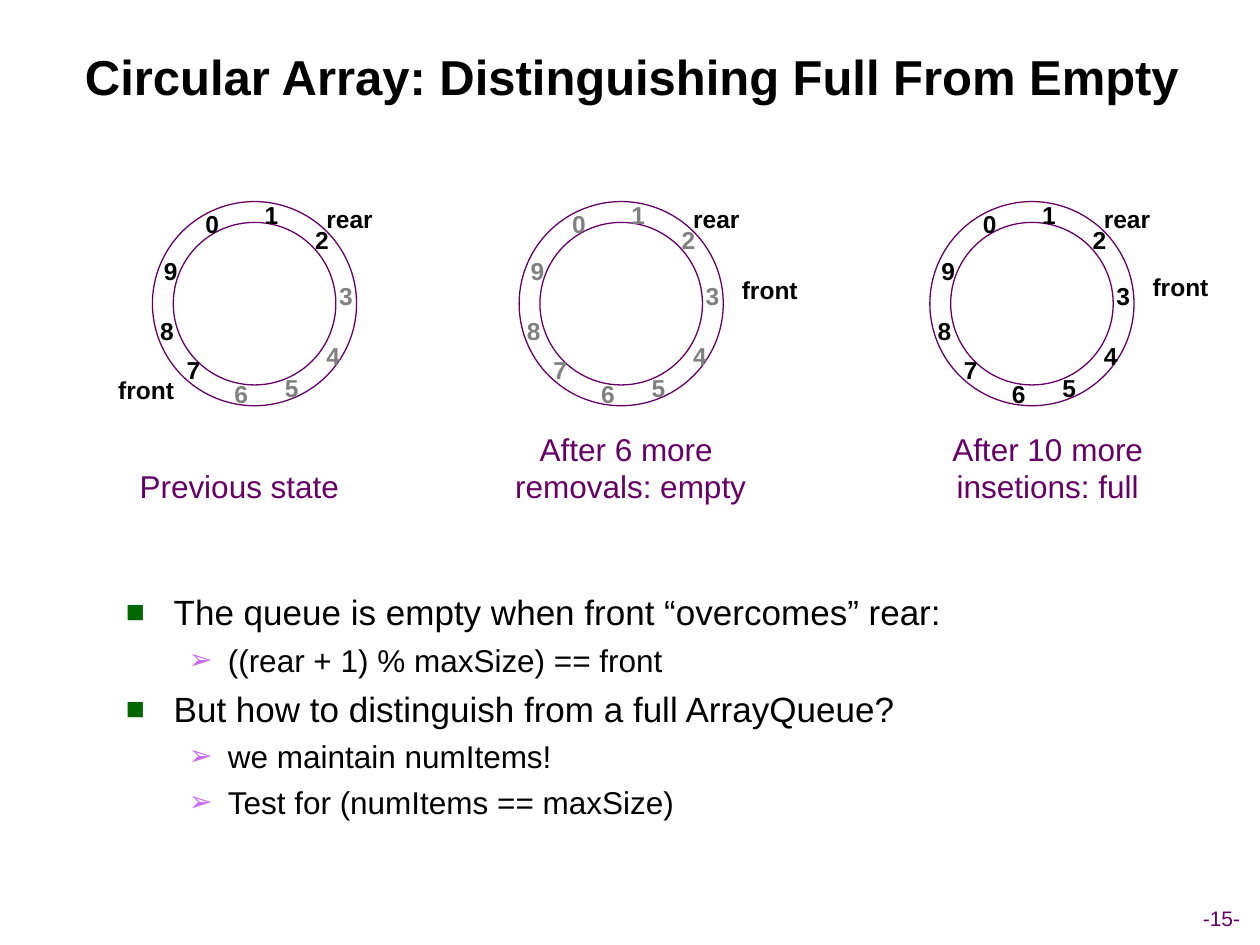
from dataclasses import dataclass

from lxml import etree
from pptx import Presentation
from pptx.dml.color import RGBColor
from pptx.enum.shapes import MSO_SHAPE
from pptx.enum.text import MSO_ANCHOR, MSO_AUTO_SIZE, PP_ALIGN
from pptx.oxml.ns import qn
from pptx.util import Inches, Pt

OVAL = MSO_SHAPE.OVAL
TOP, MIDDLE = MSO_ANCHOR.TOP, MSO_ANCHOR.MIDDLE
LEFT, CENTER = PP_ALIGN.LEFT, PP_ALIGN.CENTER
NO_FIT = MSO_AUTO_SIZE.NONE
TITLE_ONLY = 5


@dataclass(frozen=True)
class Theme:
    font: str = "Arial"
    text: str = "000000"
    empty_slot: str = "808080"
    accent: str = "660066"
    bullet: str = "006600"
    sub_bullet: str = "CC66FF"
    title_size: int = 28
    body_size: int = 20
    caption_size: int = 18
    label_size: int = 14
    number_size: int = 12


theme = Theme()


def format_text(shape, size, color, bold=False, align=CENTER, anchor=TOP):
    frame = shape.text_frame
    frame.auto_size = NO_FIT
    frame.vertical_anchor = anchor
    for paragraph in frame.paragraphs:
        paragraph.alignment = align
        for run in paragraph.runs:
            run.font.name = theme.font
            run.font.size = Pt(size)
            run.font.bold = bold
            run.font.color.rgb = RGBColor.from_string(color)


def add_label(shapes, text, box, size, color, bold=False, anchor=TOP):
    label = shapes.add_textbox(*(Inches(length) for length in box))
    label.text_frame.text = text
    label.text_frame.word_wrap = False
    format_text(label, size, color, bold, anchor=anchor)
    return label


presentation = Presentation()
presentation.slide_width = Inches(10)
presentation.slide_height = Inches(7.5)
slide = presentation.slides.add_slide(presentation.slide_layouts[TITLE_ONLY])

# Title
title = slide.shapes.title
title.left, title.top = Inches(0.38), Inches(0.13)
title.width, title.height = Inches(9.27), Inches(0.95)
title.text_frame.text = "Circular Array: Distinguishing Full From Empty"
format_text(title, theme.title_size, theme.text, bold=True, anchor=MIDDLE)

# Page number
page_number = add_label(slide.shapes, "-15-", (9.16, 7.14, 1.07, 0.3),
                        theme.number_size, theme.accent, anchor=MIDDLE)
page_number.text_frame.paragraphs[0].space_before = Pt(7.5)

# Bulleted text: (level, text)
points = [
    (0, "The queue is empty when front “overcomes” rear:"),
    (1, "((rear + 1) % maxSize) == front"),
    (0, "But how to distinguish from a full ArrayQueue?"),
    (1, "we maintain numItems!"),
    (1, "Test for (numItems == maxSize)"),
]
# Per level: left margin, hanging indent, space before, text size, bullet, bullet color
levels = [
    (0.38, 0.38, 5, theme.body_size, "■", theme.bullet),
    (0.81, 0.31, 4.5, theme.caption_size, "➢", theme.sub_bullet),
]
body = slide.shapes.add_textbox(Inches(0.9), Inches(4.64), Inches(8.38), Inches(2.09))
body.text_frame.word_wrap = True
body.text_frame.text = "\n".join(text for level, text in points)
format_text(body, theme.body_size, theme.text, align=LEFT)
for paragraph, (level, text) in zip(body.text_frame.paragraphs, points):
    margin, hanging, space, size, bullet, bullet_color = levels[level]
    paragraph.level = level
    paragraph.space_before = Pt(space)
    paragraph.runs[0].font.size = Pt(size)
    properties = paragraph._p.get_or_add_pPr()
    properties.set("marL", str(Inches(margin)))
    properties.set("indent", str(-Inches(hanging)))
    color_element = etree.SubElement(properties, qn("a:buClr"))
    etree.SubElement(color_element, qn("a:srgbClr"), val=bullet_color)
    etree.SubElement(properties, qn("a:buSzPct"), val="90000")
    etree.SubElement(properties, qn("a:buFont"), typeface=theme.font)
    etree.SubElement(properties, qn("a:buChar"), char=bullet)

# Circular arrays: slot label offsets from the ring's left edge, and tops
ring_top, ring_size, ring_width = 1.6, 1.62, 0.165
slots = [(0.32, 1.61), (0.79, 1.54), (1.19, 1.74), (1.38, 2.18), (1.28, 2.66),
         (0.95, 2.91), (0.55, 2.96), (0.17, 2.77), (-0.04, 2.46), (-0.01, 1.98)]
# Ring left, filled slots, front label position, caption, caption box
states = [
    (1.21, {7, 8, 9, 0, 1, 2}, (0.84, 2.93),
     "Previous state", (1.01, 3.66, 1.78, 0.4)),
    (4.12, set(), (5.79, 2.13),
     "After 6 more \nremovals: empty", (3.99, 3.36, 2.03, 0.7)),
    (7.38, set(range(10)), (9.05, 2.11),
     "After 10 more \ninsetions: full ", (7.46, 3.36, 1.78, 0.7)),
]
for ring_left, filled, front, caption, caption_box in states:
    shapes = slide.shapes.add_group_shape().shapes
    for inset in (ring_width, 0):
        diameter = Inches(ring_size - 2 * inset)
        circle = shapes.add_shape(OVAL, Inches(ring_left + inset),
                                  Inches(ring_top + inset), diameter, diameter)
        circle.shadow.inherit = False
        circle.fill.background()
        circle.line.color.rgb = RGBColor.from_string(theme.accent)
        circle.line.width = Pt(0.75)
    add_label(shapes, "rear", (ring_left + 1.28, 1.57, 0.57, 0.34),
              theme.label_size, theme.text, bold=True)
    add_label(shapes, "front", (*front, 0.64, 0.34),
              theme.label_size, theme.text, bold=True)
    for index, (offset, top) in enumerate(slots):
        color = theme.text if index in filled else theme.empty_slot
        add_label(shapes, str(index), (ring_left + offset, top, 0.31, 0.34),
                  theme.label_size, color, bold=True)
    add_label(slide.shapes, caption, caption_box,
              theme.caption_size, theme.accent, anchor=MIDDLE)

presentation.save("out.pptx")
